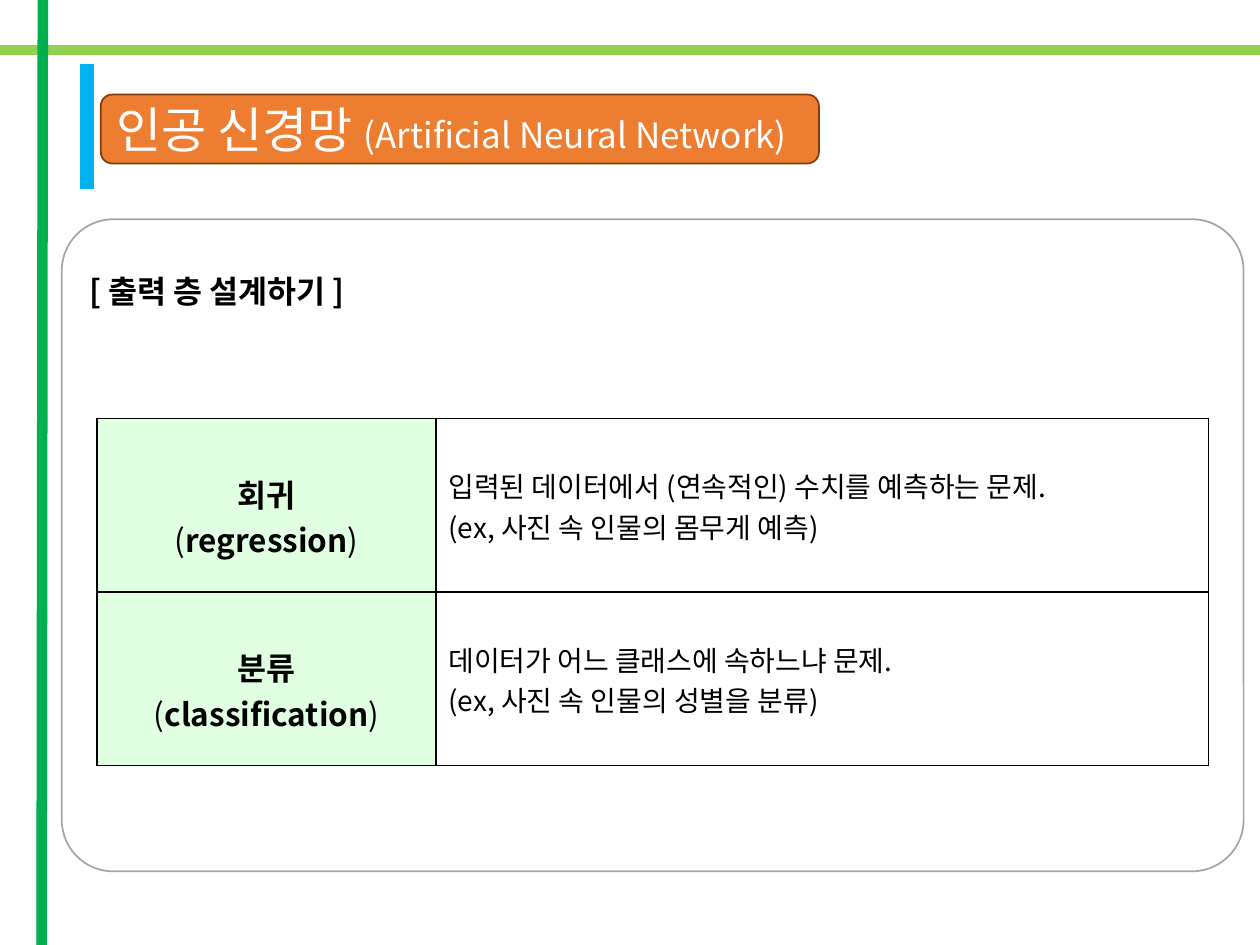
from typing import NamedTuple

from lxml.etree import SubElement
from pptx import Presentation
from pptx.dml.color import RGBColor
from pptx.enum.shapes import MSO_CONNECTOR as Conn, MSO_SHAPE as Shape
from pptx.enum.text import MSO_ANCHOR as Anchor, PP_ALIGN as Align
from pptx.oxml.ns import qn
from pptx.util import Inches, Pt

WIDTH, HEIGHT = Inches(10), Inches(7.5)
FONT = "Noto Sans CJK KR"
LINE_HEIGHT = 1.448
CELL_MARGIN = Inches(0.05)
BLACK = RGBColor(0, 0, 0)
WHITE = RGBColor(0xFF, 0xFF, 0xFF)
LIME = RGBColor(0x92, 0xD0, 0x50)
GREEN = RGBColor(0x00, 0xB0, 0x50)
BLUE = RGBColor(0x00, 0xB0, 0xF0)
GRAY = RGBColor(0xA6, 0xA6, 0xA6)
ORANGE = RGBColor(0xED, 0x7D, 0x31)
BROWN = RGBColor(0x84, 0x3C, 0x0B)
MINT = RGBColor(0xCC, 0xFF, 0xCC)


class Rule(NamedTuple):
    x1: float
    y1: float
    x2: float
    y2: float
    color: RGBColor
    weight: float


class Box(NamedTuple):
    x: float
    y: float
    w: float
    h: float

    def emu(self) -> tuple:
        return (int(self.x * WIDTH), int(self.y * HEIGHT),
                int(self.w * WIDTH), int(self.h * HEIGHT))


class Run(NamedTuple):
    text: str
    size: float
    bold: bool = False
    color: RGBColor = BLACK


class Problem(NamedTuple):
    name: str
    english: str
    meaning: str
    example: str


RULES = [
    Rule(0, 0.053, 1, 0.053, LIME, 6),
    Rule(0.034, 0, 0.033, 1, GREEN, 6),
    Rule(0.069, 0.2, 0.069, 0.068, BLUE, 8),
]
PANEL = Box(0.049, 0.232, 0.938, 0.69)
TITLE = Box(0.08, 0.1, 0.57, 0.073)
HEADING = Box(0.061, 0.281, 0.634, 0.053)
TABLE = Box(0.077, 0.443, 0.882, 0.367)
COLUMNS = (0.269, 0.613)
PROBLEMS = [
    Problem("회귀", "regression",
            "입력된 데이터에서 (연속적인) 수치를 예측하는 문제.",
            "(ex, 사진 속 인물의 몸무게 예측)"),
    Problem("분류", "classification",
            "데이터가 어느 클래스에 속하느냐 문제.",
            "(ex, 사진 속 인물의 성별을 분류)"),
]


def write(tf, lines: list[list[Run]], align: Align = Align.LEFT) -> None:
    for i, line in enumerate(lines):
        p = tf.add_paragraph() if i else tf.paragraphs[0]
        p.alignment = align
        for run in line:
            r = p.add_run()
            r.text = run.text
            r.font.size = Pt(run.size)
            r.font.bold = run.bold
            r.font.name = FONT
            r.font.color.rgb = run.color
            SubElement(r.font._element, qn("a:ea"), typeface=FONT)


def draw_rule(s, rule: Rule) -> None:
    line = s.shapes.add_connector(
        Conn.STRAIGHT, int(rule.x1 * WIDTH), int(rule.y1 * HEIGHT),
        int(rule.x2 * WIDTH), int(rule.y2 * HEIGHT))
    line.line.color.rgb = rule.color
    line.line.width = Pt(rule.weight)
    SubElement(line._element.spPr, qn("a:effectLst"))


def draw_round_box(s, box: Box, radius: float, line: RGBColor,
                   fill: RGBColor | None = None):
    sp = s.shapes.add_shape(Shape.ROUNDED_RECTANGLE, *box.emu())
    sp.adjustments[0] = radius
    sp.shadow.inherit = False
    if fill is None:
        sp.fill.background()
    else:
        sp.fill.solid()
        sp.fill.fore_color.rgb = fill
    sp.line.color.rgb = line
    sp.line.width = Pt(1)
    return sp


def fill_cell(cell, lines: list[list[Run]], align: Align,
              fill: RGBColor | None = None, alpha: int = 100) -> None:
    tcPr = cell._tc.get_or_add_tcPr()
    for side in ("lnL", "lnR", "lnT", "lnB"):
        ln = SubElement(tcPr, qn(f"a:{side}"), w=str(Pt(1)))
        SubElement(SubElement(ln, qn("a:solidFill")),
                   qn("a:srgbClr"), val=str(BLACK))
    if fill is None:
        cell.fill.background()
    else:
        cell.fill.solid()
        cell.fill.fore_color.rgb = fill
        SubElement(tcPr.find(qn("a:solidFill"))[0], qn("a:alpha"),
                   val=str(alpha * 1000))
    cell.margin_top = CELL_MARGIN + Pt(lines[0][0].size * LINE_HEIGHT)
    write(cell.text_frame, lines, align)


def draw_table(s) -> None:
    frame = s.shapes.add_table(len(PROBLEMS), len(COLUMNS), *TABLE.emu())
    table = frame.table
    table.first_row = table.horz_banding = False
    for column, share in zip(table.columns, COLUMNS):
        column.width = int(share * WIDTH)
    for i, problem in enumerate(PROBLEMS):
        name = [[Run(problem.name, 18, True)],
                [Run("(", 18), Run(problem.english, 18, True), Run(")", 18)]]
        fill_cell(table.cell(i, 0), name, Align.CENTER, MINT, 58)
        meaning = [[Run(problem.meaning, 16)], [Run(problem.example, 16)]]
        fill_cell(table.cell(i, 1), meaning, Align.LEFT)


def main() -> None:
    prs = Presentation()
    prs.slide_width, prs.slide_height = WIDTH, HEIGHT
    s = prs.slides.add_slide(prs.slide_layouts[6])
    for rule in RULES:
        draw_rule(s, rule)
    draw_round_box(s, PANEL, 0.079, GRAY)

    title = draw_round_box(s, TITLE, 0.167, BROWN, ORANGE)
    tf = title.text_frame
    tf.vertical_anchor = Anchor.MIDDLE
    write(tf, [[Run("인공 신경망 ", 28, color=WHITE),
                Run("(Artificial Neural Network)", 20, color=WHITE)]])

    tf = s.shapes.add_textbox(*HEADING.emu()).text_frame
    tf.word_wrap = True
    write(tf, [[Run("[ 출력 층 설계하기 ]", 18, True)]])

    draw_table(s)
    prs.save("out.pptx")


if __name__ == "__main__":
    main()
